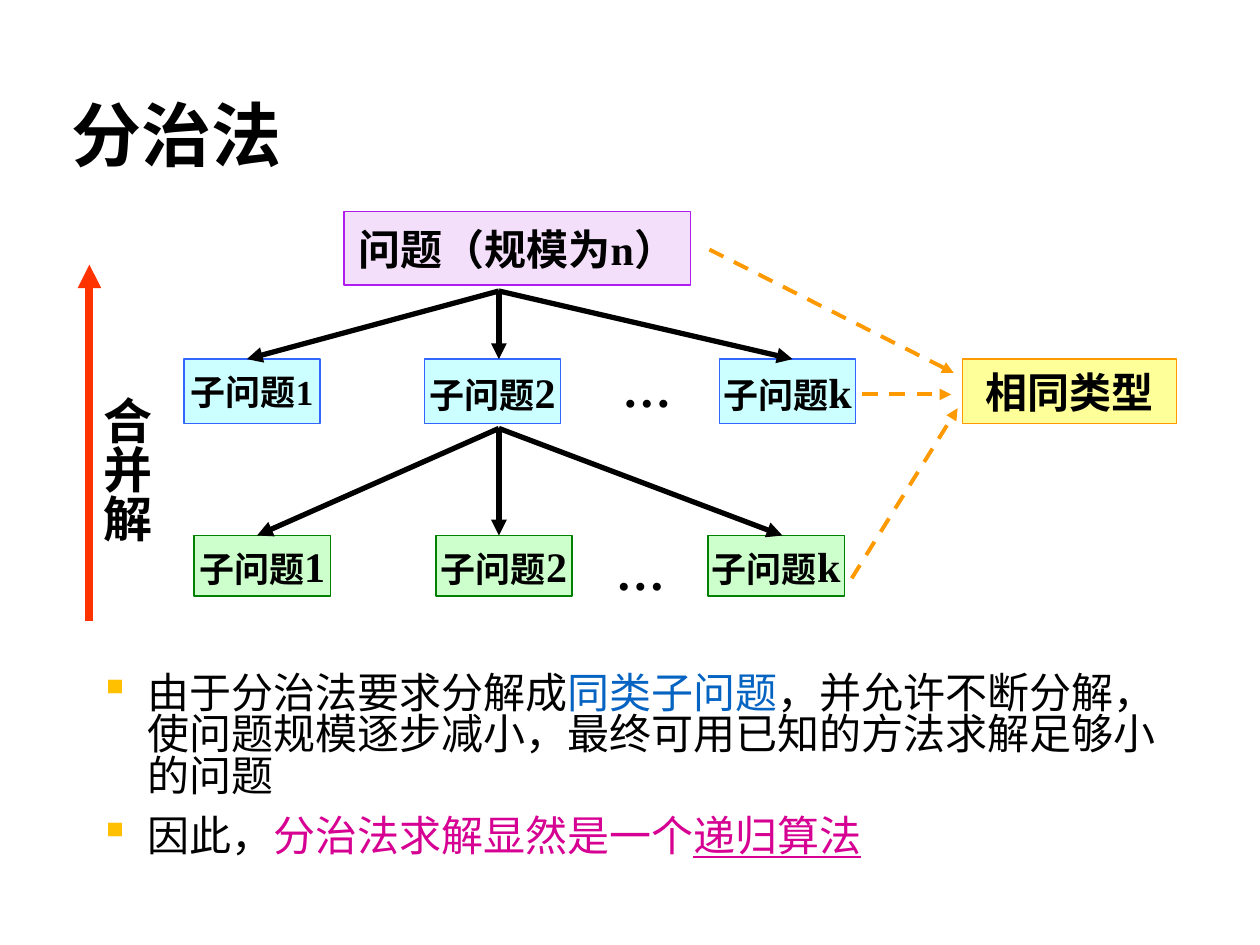
"""Build a slide on divide and conquer: a problem tree with two explanatory points."""
import pptx
import pptx.util
import pptx.dml.color
import pptx.enum.dml
import pptx.enum.shapes
import pptx.enum.text
import pptx.oxml.ns
import lxml.etree

Pt = pptx.util.Pt
qn = pptx.oxml.ns.qn
ANCHOR = pptx.enum.text.MSO_ANCHOR
ALIGN = pptx.enum.text.PP_ALIGN
SERIF, SANS, CJK = "Times New Roman", "Cabin", "Noto Sans CJK SC"
COLORS = {
    "text": "000000", "term": "0563C1", "emphasis": "D60093", "bullet": "FFC000",
    "problem": "F3DFF9", "problem_edge": "B21BEF",
    "first": "CCFFFF", "first_edge": "3366FF",
    "second": "CCFFCC", "second_edge": "008000",
    "type": "FFFF99", "type_edge": "FF9900", "merge": "FF3300",
}


def rgb(name):
    return pptx.dml.color.RGBColor.from_string(COLORS[name])


def write(para, spans, font):
    for text, size, color, formats in spans:
        span = para.add_run()
        span.text = text
        span.font.color.rgb = rgb(color)
        for key, value in {"name": font, "size": Pt(size), **formats}.items():
            setattr(span.font, key, value)
        east = lxml.etree.SubElement(span.font._element, qn("a:ea"))
        east.set("typeface", CJK)


deck = pptx.Presentation()
deck.slide_width, deck.slide_height = Pt(720), Pt(540)
page = deck.slides.add_slide(deck.slide_layouts[6])
BOLD = {"bold": True}

nodes = [
    (196.6, 121, 198, 41.8, "problem", SERIF, False, [("问题（规模为n）", 24)]),
    (550, 205.2, 122.4, 36.7, "type", SANS, True, [("相同类型", 24)]),
]
levels = [
    ("first", 205.2, 36.7, (105.1, 242.6, 411.1), 20),
    ("second", 306, 34.6, (110.9, 249.1, 404.6), 24),
]
for style, top, height, lefts, first_size in levels:
    for left, mark, size in zip(lefts, "12k", (first_size, 24, 24)):
        nodes.append((left, top, 77.8, height, style, SERIF, False, [("子问题", 20), (mark, size)]))

for left, top, width, height, style, font, wrap, label in nodes:
    box = page.shapes.add_shape(
        pptx.enum.shapes.MSO_SHAPE.RECTANGLE, Pt(left), Pt(top), Pt(width), Pt(height))
    box.shadow.inherit = False
    box.fill.solid()
    box.fill.fore_color.rgb = rgb(style)
    box.line.color.rgb = rgb(style + "_edge")
    box.line.width = Pt(0.75)
    for key, value in {"word_wrap": wrap, "vertical_anchor": ANCHOR.MIDDLE}.items():
        setattr(box.text_frame, key, value)
    para = box.text_frame.paragraphs[0]
    para.alignment = ALIGN.CENTER
    write(para, [(text, size, "text", BOLD) for text, size in label], font)

labels = [
    (33.8, 33.8, 648, 70.6, "分治法", 40, "Calibri", {"word_wrap": True, "vertical_anchor": ANCHOR.BOTTOM}, 0.9, None),
    (348.5, 201.6, 42.5, 41, "…", 28, SERIF, {"word_wrap": False}, 1, None),
    (344.9, 306, 42.5, 41, "…", 28, SERIF, {"word_wrap": False}, 1, None),
    (44.6, 219.6, 48.2, 90, "合并解", 28, SANS, {"word_wrap": False}, 1, "eaVert"),
]
for left, top, width, height, text, size, font, formats, spacing, direction in labels:
    box = page.shapes.add_textbox(Pt(left), Pt(top), Pt(width), Pt(height))
    for key, value in formats.items():
        setattr(box.text_frame, key, value)
    if direction:
        box.text_frame._txBody.bodyPr.set("vert", direction)
    para = box.text_frame.paragraphs[0]
    para.line_spacing = spacing
    write(para, [(text, size, "text", BOLD)], font)

arrows = [
    (405.4, 142.6, 545, 213.1, "type_edge", 2.25, True),
    (492.5, 225.4, 543.6, 225.4, "type_edge", 2.25, True),
    (486.7, 330.5, 547.2, 233.3, "type_edge", 2.25, True),
    (51.1, 355, 51.1, 151.2, "merge", 4.5, False),
]
for start, end, targets in ((166.3, 205.2, (141.1, 285.1, 452.9)), (244.8, 306, (146.9, 285.1, 447.1))):
    arrows += [(285.1, start, target, end, "text", 3, False) for target in targets]

for x1, y1, x2, y2, color, width, dashed in arrows:
    arrow = page.shapes.add_connector(
        pptx.enum.shapes.MSO_CONNECTOR.STRAIGHT, Pt(x1), Pt(y1), Pt(x2), Pt(y2))
    arrow.line.color.rgb = rgb(color)
    arrow.line.width = Pt(width)
    if dashed:
        arrow.line.dash_style = pptx.enum.dml.MSO_LINE.DASH
    head = lxml.etree.SubElement(arrow.line._get_or_add_ln(), qn("a:tailEnd"))
    head.set("type", "triangle")
    lxml.etree.SubElement(arrow._element.spPr, qn("a:effectLst"))

points = [
    [("由于分治法要求分解成", 24, "text", {}), ("同类子问题", 24, "term", {}),
     ("，并允许不断分解，使问题规模逐步减小，最终可用已知的方法求解足够小的问题", 24, "text", {})],
    [("因此，", 24, "text", {}), ("分治法求解显然是一个", 24, "emphasis", {}),
     ("递归算法", 24, "emphasis", {"underline": True})],
]
box = page.shapes.add_textbox(Pt(49.7), Pt(382), Pt(620.6), Pt(144))
box.text_frame.word_wrap = True
for index, spans in enumerate(points):
    para = box.text_frame.add_paragraph() if index else box.text_frame.paragraphs[0]
    for key, value in {"line_spacing": 0.83, "space_before": Pt(10 * index)}.items():
        setattr(para, key, value)
    layout = para._p.get_or_add_pPr()
    layout.set("marL", str(Pt(27.4)))
    layout.set("indent", str(-Pt(27.4)))
    tint = lxml.etree.SubElement(layout, qn("a:buClr"))
    lxml.etree.SubElement(tint, qn("a:srgbClr")).set("val", COLORS["bullet"])
    lxml.etree.SubElement(layout, qn("a:buChar")).set("char", "▪")
    write(para, spans, CJK)

deck.save("out.pptx")
